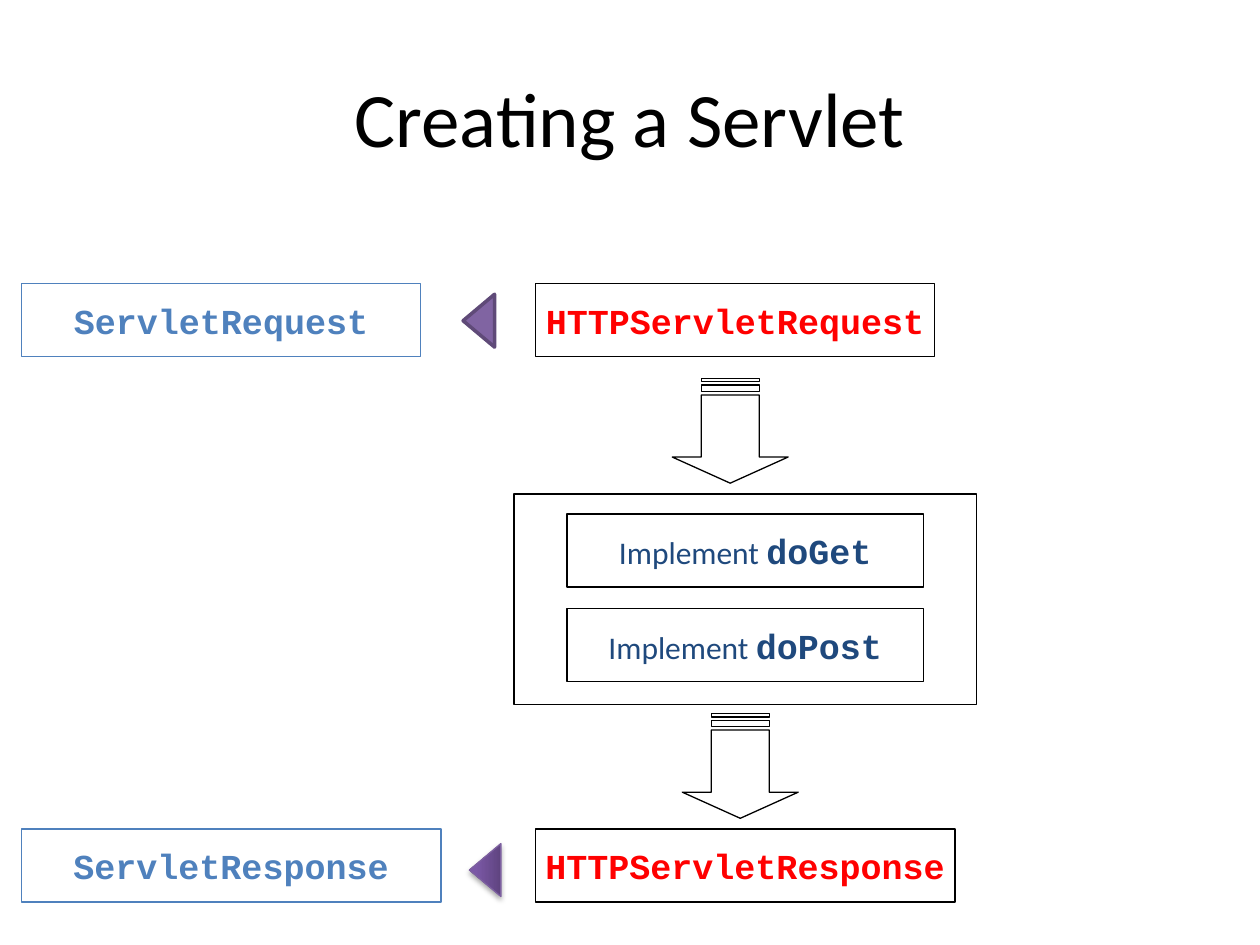
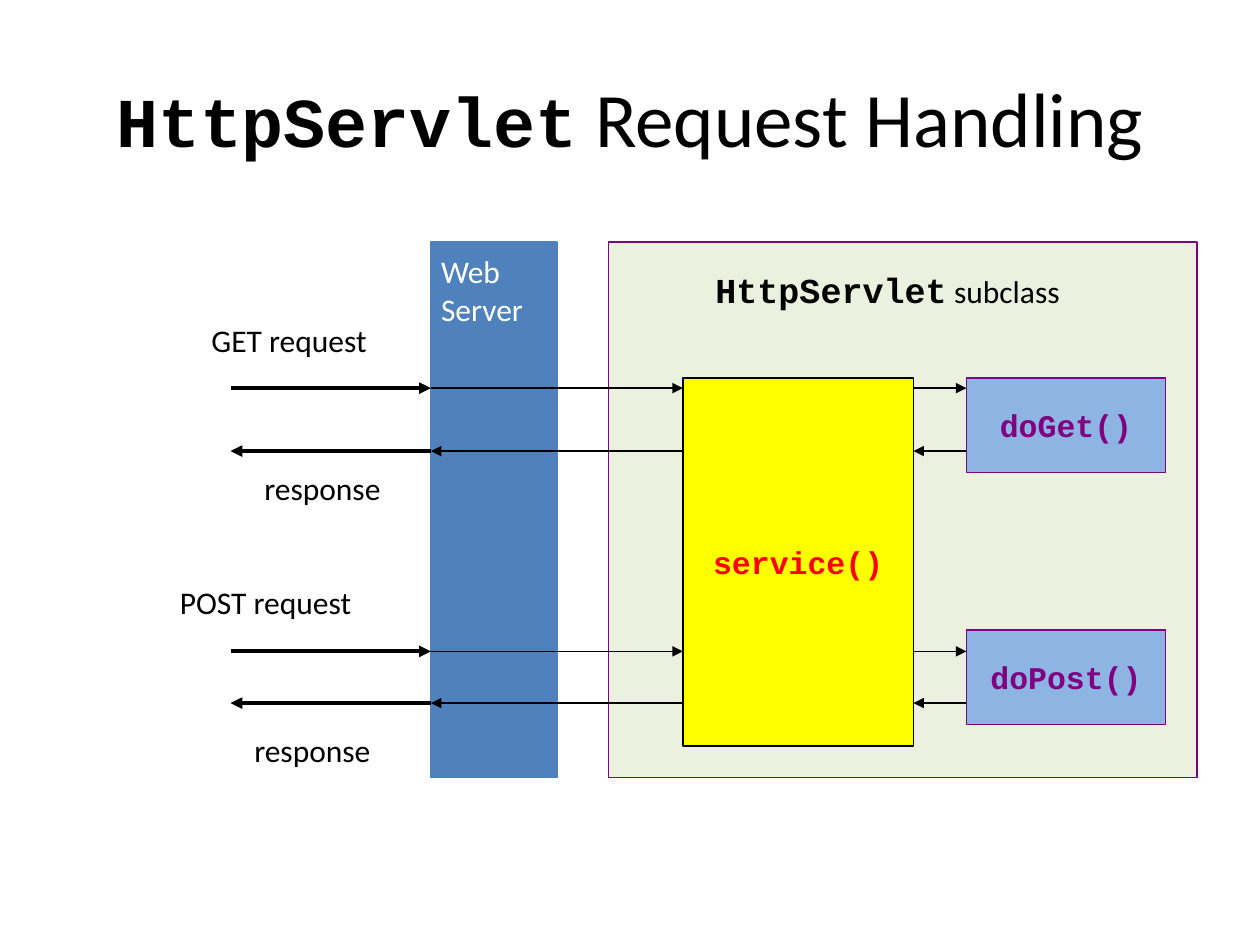
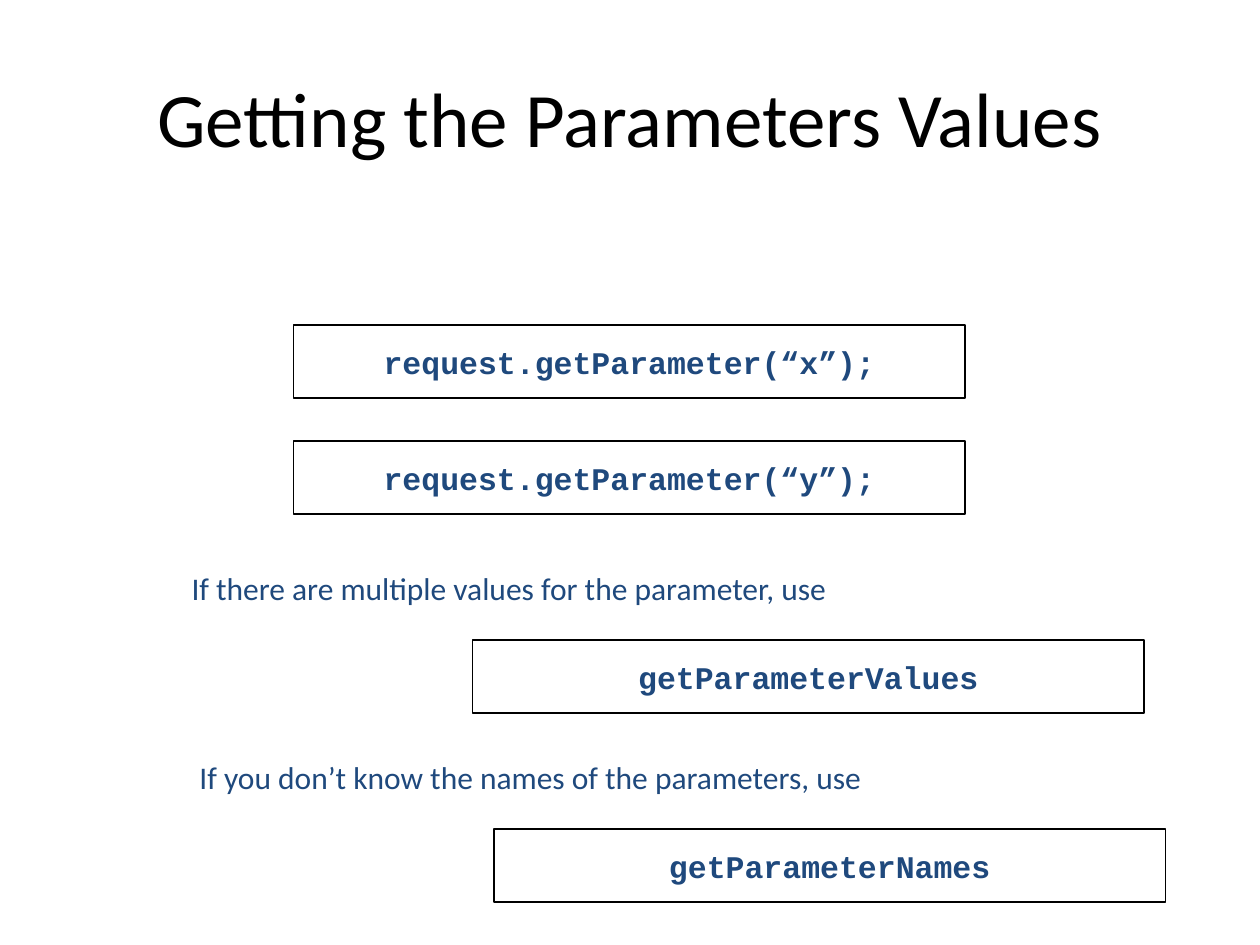
from copy import deepcopy
from dataclasses import dataclass

from lxml import etree
from pptx import Presentation
from pptx.dml.color import RGBColor
from pptx.enum.shapes import MSO_CONNECTOR, MSO_SHAPE
from pptx.enum.text import MSO_ANCHOR, PP_ALIGN
from pptx.oxml.ns import qn
from pptx.util import Inches, Pt

RECTANGLE = MSO_SHAPE.RECTANGLE
TRIANGLE = MSO_SHAPE.ISOSCELES_TRIANGLE
STRIPED_ARROW = MSO_SHAPE.STRIPED_RIGHT_ARROW
STRAIGHT = MSO_CONNECTOR.STRAIGHT
TOP, MIDDLE = MSO_ANCHOR.TOP, MSO_ANCHOR.MIDDLE
LEFT, CENTER = PP_ALIGN.LEFT, PP_ALIGN.CENTER


@dataclass(frozen=True)
class Theme:
    body: str = "Calibri"
    code: str = "Courier New"
    title_size: int = 44
    title_code_size: int = 40
    code_size: int = 20
    text_size: int = 18
    black: str = "000000"
    white: str = "FFFFFF"
    navy: str = "1F497D"
    blue: str = "4F81BD"
    light_blue: str = "8EB4E3"
    red: str = "FF0000"
    yellow: str = "FFFF00"
    green: str = "EBF1DE"
    purple: str = "800080"
    violet: str = "8064A2"
    dark_violet: str = "5F4A78"
    violet_edge: str = "7D60A0"
    violet_stops: tuple = ((0, "5F4480"), (0.8, "7B58A6"), (1, "7C57A8"))


theme = Theme()


def write_text(shape, runs, color=theme.black, alignment=CENTER, anchor=MIDDLE, wrap=True, **margins):
    frame = shape.text_frame
    for name, value in {"word_wrap": wrap, "vertical_anchor": anchor, **margins}.items():
        setattr(frame, name, value)
    paragraph = frame.paragraphs[0]
    paragraph.alignment = alignment
    for text, font_name, size in runs:
        run = paragraph.add_run()
        run.text = text
        for name, value in {"name": font_name, "size": Pt(size), "bold": font_name == theme.code}.items():
            setattr(run.font, name, value)
        run.font.color.rgb = RGBColor.from_string(color)


def add_box(slide, bounds, line=theme.black, line_width=0.75, fill=None, preset=RECTANGLE, rotation=0):
    shape = slide.shapes.add_shape(preset, *map(Inches, bounds))
    shape.rotation = rotation
    shape.shadow.inherit = False
    if fill:
        shape.fill.solid()
        shape.fill.fore_color.rgb = RGBColor.from_string(fill)
    else:
        shape.fill.background()
    shape.line.color.rgb = RGBColor.from_string(line)
    shape.line.width = Pt(line_width)
    return shape


presentation = Presentation()
presentation.slide_width = Inches(10)
presentation.slide_height = Inches(7.5)

titles = [
    [("Creating a Servlet", theme.body, theme.title_size)],
    [("HttpServlet", theme.code, theme.title_code_size), (" Request Handling", theme.body, theme.title_size)],
    [("Getting the Parameters Values", theme.body, theme.title_size)],
]
slides = []
for title in titles:
    slide = presentation.slides.add_slide(presentation.slide_layouts[6])
    write_text(slide.shapes.add_textbox(Inches(0.5), Inches(0.3), Inches(9), Inches(1.25)), title)
    slides.append(slide)
creating, handling, parameters = slides

box_height = 0.58
for top, method in ((4.08, "doGet"), (4.83, "doPost")):
    box = add_box(creating, (4.5, top, 2.83, box_height))
    runs = [("Implement ", theme.body, theme.text_size), (method, theme.code, theme.code_size)]
    write_text(box, runs, theme.navy, wrap=False)
add_box(creating, (4.08, 3.92, 3.67, 1.67))

for top, width, name in ((2.25, 3.17, "ServletRequest"), (6.58, 3.33, "ServletResponse")):
    for left, prefix, line, color in (
        (4.25, "HTTP", theme.black, theme.red),
        (0.17, "", theme.blue, theme.blue),
    ):
        box = add_box(creating, (left, top, width, box_height), line)
        write_text(box, [(prefix + name, theme.code, theme.code_size)], color, wrap=False)

for left, top in ((5.38, 2.96), (5.46, 5.62)):
    flow_arrow = add_box(creating, (left, top, 0.83, 0.92), preset=STRIPED_ARROW, rotation=90)
    flow_arrow.adjustments[0] = 0.5
    flow_arrow.adjustments[1] = 0.25

add_box(creating, (3.59, 2.42, 0.42, 0.25), theme.dark_violet, 2, theme.violet, TRIANGLE, 270)
response_triangle = add_box(
    creating, (3.64, 6.78, 0.42, 0.25), theme.violet_edge, preset=TRIANGLE, rotation=270
)
gradient = response_triangle.fill
gradient.gradient()
gradient.gradient_angle = 90
properties = response_triangle._element.spPr
stop_list = properties.find(".//" + qn("a:gsLst"))
stop_list.append(deepcopy(stop_list[-1]))
for stop, (position, color) in zip(gradient.gradient_stops, theme.violet_stops):
    stop.position = position
    stop.color.rgb = RGBColor.from_string(color)
shadow = etree.SubElement(
    properties.find(qn("a:effectLst")),
    qn("a:outerShdw"),
    blurRad=str(Pt(3.1)),
    dist=str(Pt(1.8)),
    dir="5400000",
    rotWithShape="0",
)
shadow_color = etree.SubElement(shadow, qn("a:srgbClr"), val=theme.black)
etree.SubElement(shadow_color, qn("a:alpha"), val="35000")

add_box(handling, (3.42, 1.92, 1, 4.25), theme.blue, 1, theme.blue)
add_box(handling, (4.83, 1.92, 4.67, 4.25), theme.purple, 1, theme.green)
for bounds, name, line, fill, color in (
    ((5.42, 3, 1.83, 2.92), "service()", theme.black, theme.yellow, theme.red),
    ((7.67, 3, 1.58, 0.75), "doGet()", theme.purple, theme.light_blue, theme.purple),
    ((7.67, 5, 1.58, 0.75), "doPost()", theme.purple, theme.light_blue, theme.purple),
):
    box = add_box(handling, bounds, line, 1, fill)
    write_text(box, [(name, theme.code, theme.text_size)], color, wrap=False)

for left, top, width, text in (
    (1.58, 2.5, 1.89, "GET request"),
    (2, 3.67, 1.37, "response"),
    (1.33, 4.58, 2.06, "POST request"),
    (1.92, 5.75, 1.37, "response"),
):
    label = handling.shapes.add_textbox(Inches(left), Inches(top), Inches(width), Inches(0.5))
    write_text(label, [(text, theme.body, theme.text_size)], alignment=LEFT, anchor=TOP)

subclass_label = handling.shapes.add_textbox(Inches(5.58), Inches(2.08), Inches(3.33), Inches(0.5))
subclass_runs = [("HttpServlet", theme.code, theme.code_size), (" subclass", theme.body, theme.text_size)]
write_text(subclass_label, subclass_runs, alignment=LEFT, anchor=TOP)

server_label = handling.shapes.add_textbox(Inches(3.5), Inches(2), Inches(0.92), Inches(0.8))
no_margins = {f"margin_{side}": 0 for side in ("left", "top", "right", "bottom")}
server_runs = [("Web Server", theme.body, theme.text_size)]
write_text(server_label, server_runs, theme.white, LEFT, TOP, **no_margins)

for y, is_request in ((3.08, True), (3.58, False), (5.17, True), (5.58, False)):
    for left, right, width in ((1.83, 3.42, 2.25), (3.42, 5.42, 1), (7.25, 7.67, 1)):
        start, end = (left, right) if is_request else (right, left)
        arrow = handling.shapes.add_connector(STRAIGHT, Inches(start), Inches(y), Inches(end), Inches(y))
        arrow.line.color.rgb = RGBColor.from_string(theme.black)
        arrow.line.width = Pt(width)
        etree.SubElement(arrow.line._get_or_add_ln(), qn("a:tailEnd"), type="triangle")
        etree.SubElement(arrow._element.spPr, qn("a:effectLst"))

for left, top, call in (
    (2.33, 2.58, "request.getParameter(“x”);"),
    (2.33, 3.5, "request.getParameter(“y”);"),
    (3.75, 5.08, "getParameterValues"),
    (3.92, 6.58, "getParameterNames"),
):
    box = add_box(parameters, (left, top, 5.33, box_height))
    write_text(box, [(call, theme.code, theme.text_size)], theme.navy, wrap=False)

for left, top, text in (
    (0.33, 4.33, "If there are multiple values for the parameter, use"),
    (0.5, 5.83, "If you don’t know the names of the parameters, use"),
):
    hint = parameters.shapes.add_textbox(Inches(left), Inches(top), Inches(7.42), Inches(0.67))
    write_text(hint, [(text, theme.body, theme.text_size)], theme.navy)

presentation.save("out.pptx")
